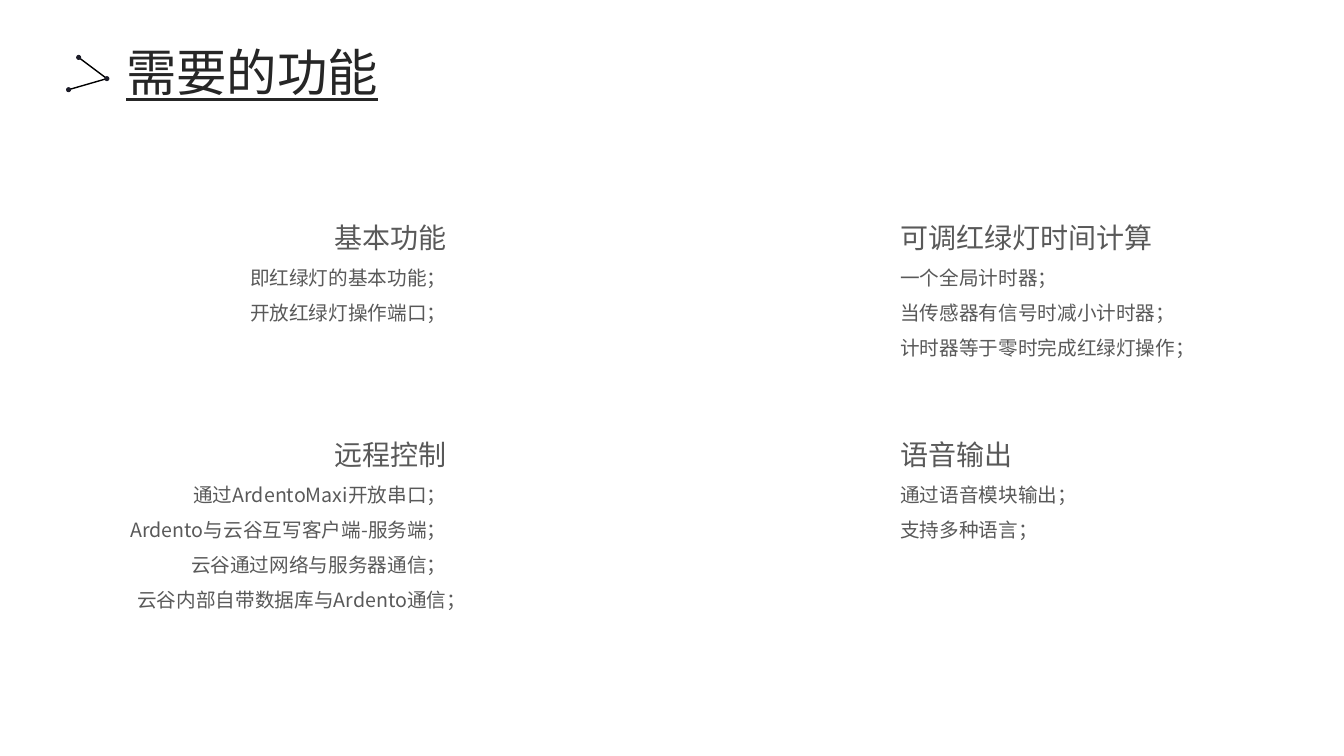
import pptx
import pptx.util
import pptx.dml.color
import pptx.enum.shapes
import pptx.enum.text
import pptx.oxml
import pptx.oxml.ns

Inches = pptx.util.Inches
Pt = pptx.util.Pt
RGB = pptx.dml.color.RGBColor
Align = pptx.enum.text.PP_ALIGN
Kind = pptx.enum.shapes

DARK = RGB(0x26, 0x26, 0x26)
GREY = RGB(0x59, 0x59, 0x59)
BLACK = RGB(0, 0, 0)
INK = RGB(0x1C, 0x1C, 0x28)
FONT = "Noto Sans CJK SC"


class Deck:
    """Holds the style and the current slide."""

    def __init__(self):
        self.prs = pptx.Presentation()
        self.prs.slide_width = Inches(13.33)
        self.prs.slide_height = Inches(7.5)
        self.slide = self.prs.slides.add_slide(self.prs.slide_layouts[5])

    def style(self, para, size, color, align, name=FONT):
        para.alignment = align
        font = para.font
        font.size = Pt(size)
        font.name = name
        font.color.rgb = color
        props = para._p.pPr.find(pptx.oxml.ns.qn("a:defRPr"))
        east = pptx.oxml.parse_xml(
            f'<a:ea {pptx.oxml.ns.nsdecls("a")} typeface="{FONT}"/>')
        props.append(east)

    def title(self, text, left, top, width, height):
        box = self.slide.shapes.title
        box.left, box.top = Inches(left), Inches(top)
        box.width, box.height = Inches(width), Inches(height)
        frame = box.text_frame
        frame.text = text
        frame.word_wrap = True
        frame.vertical_anchor = pptx.enum.text.MSO_ANCHOR.TOP
        frame.auto_size = pptx.enum.text.MSO_AUTO_SIZE.SHAPE_TO_FIT_TEXT
        para = frame.paragraphs[0]
        self.style(para, 36, DARK, Align.JUSTIFY)
        para.font.underline = True

    def block(self, left, top, width, align, head, items, name=FONT):
        box = self.slide.shapes.add_textbox(
            Inches(left), Inches(top), Inches(width),
            Inches(0.5 + 0.35 * len(items)))
        frame = box.text_frame
        frame.word_wrap = True
        frame.auto_size = pptx.enum.text.MSO_AUTO_SIZE.SHAPE_TO_FIT_TEXT
        frame.margin_left = frame.margin_right = 0
        frame.margin_top = frame.margin_bottom = 0
        frame.text = "\n".join([head] + items)
        for para in frame.paragraphs:
            para.line_spacing = 1.5
        self.style(frame.paragraphs[0], 20, GREY, align, name)
        for para in frame.paragraphs[1:]:
            self.style(para, 14, GREY, align)

    def mark(self, points, size):
        group = self.slide.shapes.add_group_shape().shapes
        for start, end in zip(points, points[1:]):
            line = group.add_connector(
                Kind.MSO_CONNECTOR.STRAIGHT,
                *(Inches(n) for n in start + end))
            line.line.color.rgb = BLACK
            line.line.width = Pt(1)
            line._element.spPr.append(pptx.oxml.parse_xml(
                f'<a:effectLst {pptx.oxml.ns.nsdecls("a")}/>'))
        for x, y in points:
            dot = group.add_shape(
                Kind.MSO_SHAPE.OVAL, Inches(x - size / 2),
                Inches(y - size / 2), Inches(size), Inches(size))
            dot.shadow.inherit = False
            dot.fill.solid()
            dot.fill.fore_color.rgb = INK
            dot.line.fill.background()


def main():
    deck = Deck()
    deck.mark([(0.78, 0.57), (1.06, 0.78), (0.68, 0.89)], 0.05)
    deck.title("需要的功能", 1.15, 0.36, 4.15, 0.71)
    upper, lower = 2.02, 4.17
    west = (1.26, 3.17, Align.RIGHT)
    east = (8.93, 3.3, Align.LEFT)
    blocks = [
        (east, upper, "可调红绿灯时间计算",
         ["一个全局计时器；", "当传感器有信号时减小计时器；",
          "计时器等于零时完成红绿灯操作；"], "Calibri"),
        (east, lower, "语音输出", ["通过语音模块输出；", "支持多种语言；"], FONT),
        (west, upper, "基本功能",
         ["即红绿灯的基本功能；", "开放红绿灯操作端口；"], FONT),
        (west, lower, "远程控制",
         ["通过ArdentoMaxi开放串口；", "Ardento与云谷互写客户端-服务端；",
          "云谷通过网络与服务器通信；", "云谷内部自带数据库与Ardento通信；"], FONT),
    ]
    for (left, width, align), top, head, items, name in blocks:
        deck.block(left, top, width, align, head, items, name)
    deck.prs.save("out.pptx")


if __name__ == "__main__":
    main()
